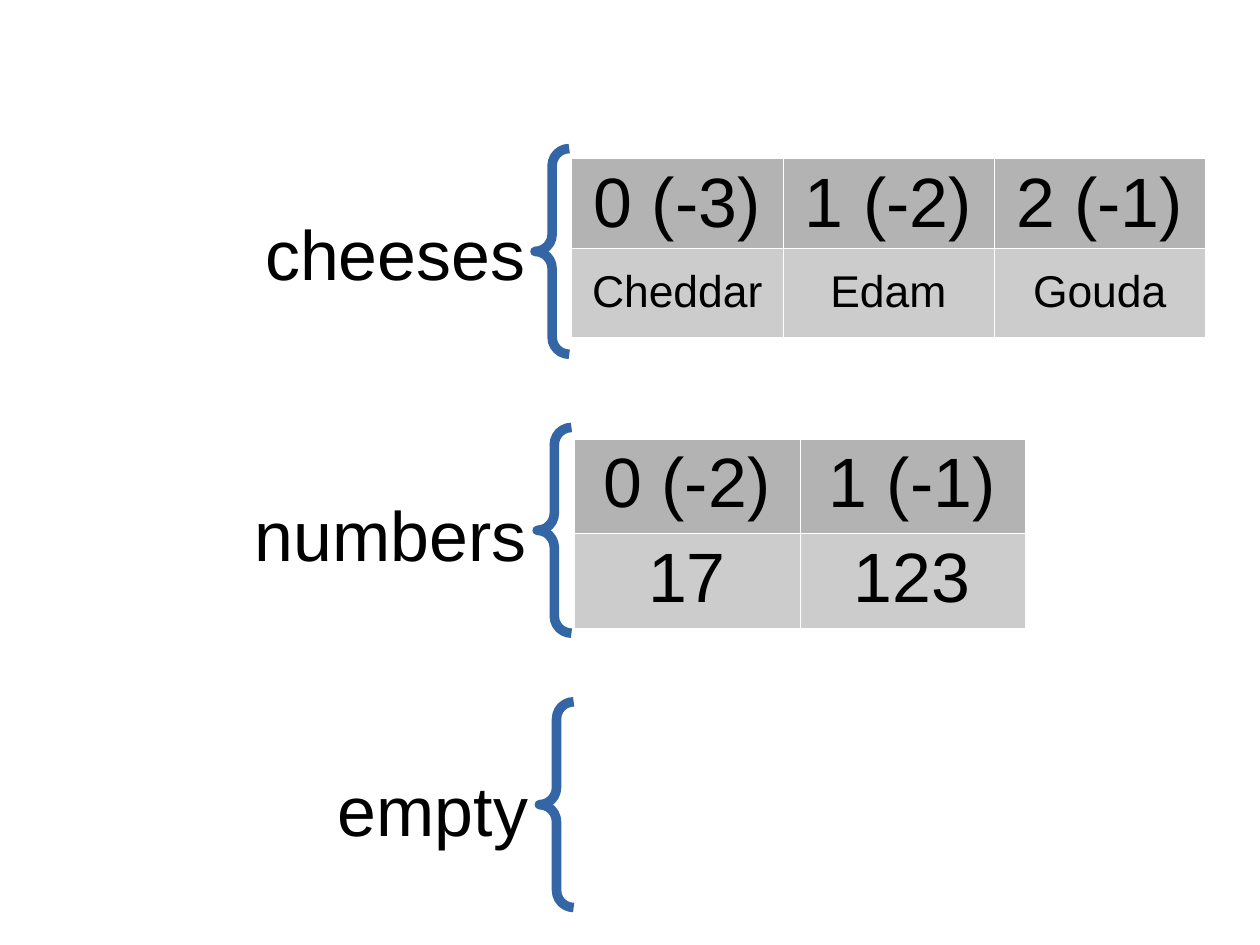
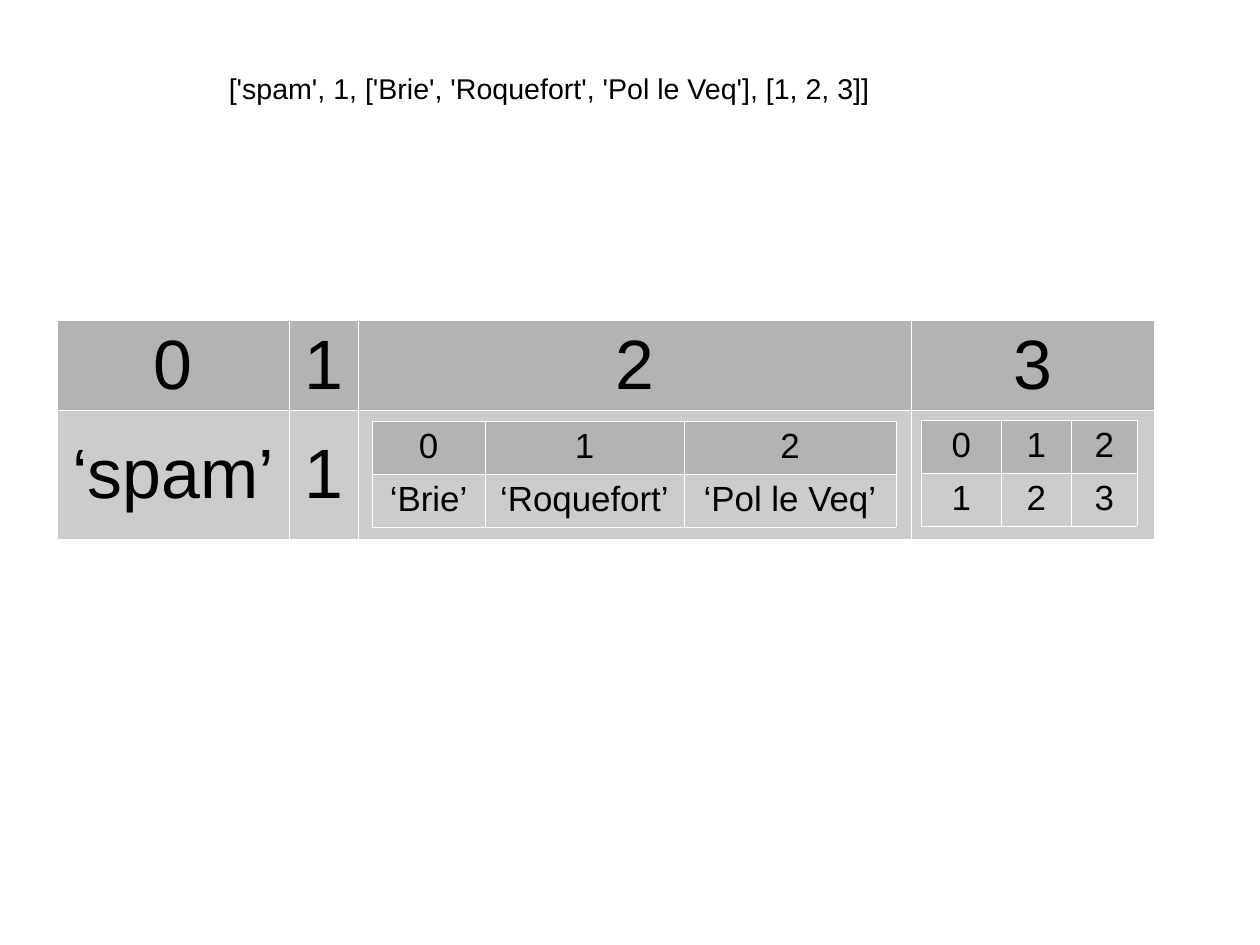
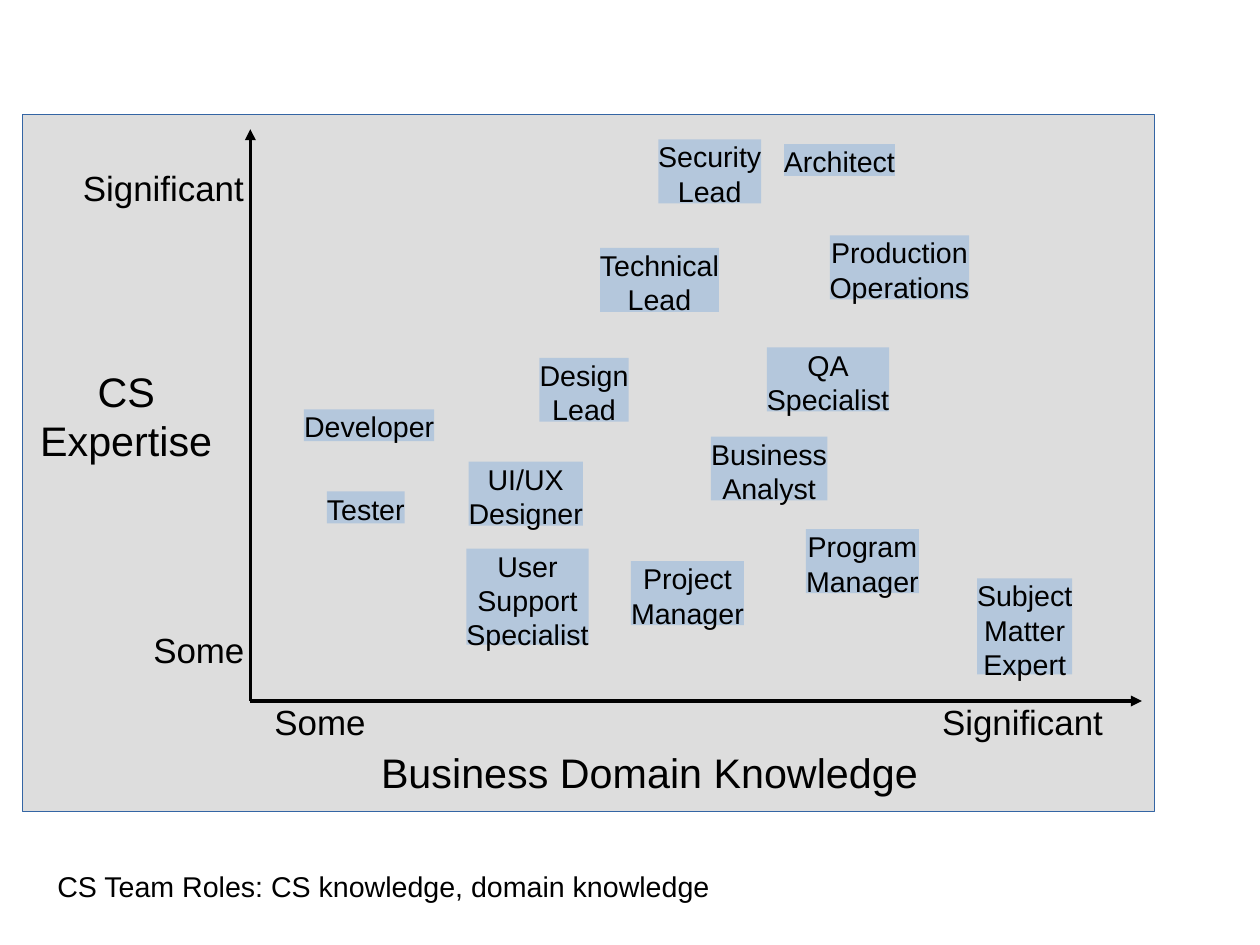
import lxml.etree
import pptx
import pptx.dml.color
import pptx.enum.shapes
import pptx.enum.text
import pptx.oxml
import pptx.oxml.ns
import pptx.util

Pt = pptx.util.Pt
SHAPES = pptx.enum.shapes.MSO_SHAPE
ANCHORS = pptx.enum.text.MSO_ANCHOR

FONT = "Arial"
COLOURS = {
    "text": "000000",
    "header": "B3B3B3",
    "value": "CCCCCC",
    "border": "FFFFFF",
    "accent": "3465A4",
    "panel": "DDDDDD",
    "role": "B4C7DC",
}
SLIDE_WIDTH, SLIDE_HEIGHT = 793.7, 595.28
LARGE, AXIS_NAME, MEDIUM, SMALL = 44, 26, 22, 18
ROLE_LINE = 20.16
BRACE_WIDTH, BRACE_HEIGHT = 21.6, 129.6

LISTS = [
    {"name": "cheeses", "label": (167, 132.5, 164.2), "brace": (337, 93.6),
     "table": (360, 99.6), "columns": [133.1] * 3, "rows": [56.4] * 2,
     "cells": [["0 (-3)", "1 (-2)", "2 (-1)"], ["Cheddar", "Edam", "Gouda"]],
     "value_size": 28, "anchors": (ANCHORS.TOP, ANCHORS.MIDDLE)},
    {"name": "numbers", "label": (159.8, 309.6, 172.8), "brace": (338.4, 269.3),
     "table": (361.8, 276.5), "columns": [141.9] * 2, "rows": [59.5] * 2,
     "cells": [["0 (-2)", "1 (-1)"], ["17", "123"]],
     "value_size": LARGE, "anchors": (ANCHORS.TOP, ANCHORS.TOP)},
    {"name": "empty", "label": (209.5, 483.1, 126.7), "brace": (339.8, 442.1)},
]

AXIS_LABELS = [
    ("Business Domain Knowledge", 239.8, 470.9, 339.1, AXIS_NAME),
    ("CS\nExpertise", 25.2, 230.4, 108.7, AXIS_NAME),
    ("Some", 96.5, 396, 57.6, MEDIUM),
    ("Some", 172.8, 441.4, 57.6, MEDIUM),
    ("Significant", 589.7, 441.4, 108.7, MEDIUM),
    ("Significant", 51.8, 105.1, 102.2, MEDIUM),
]

ROLES = [
    ("Subject\nMatter\nExpert", 615.6, 364.3, 59.8),
    ("Architect", 493.9, 90.7, 69.8),
    ("Program\nManager", 507.6, 333.4, 71.3),
    ("Project\nManager", 397.4, 353.5, 71.3),
    ("UI/UX\nDesigner", 295.2, 290.9, 72),
    ("Security\nLead", 414.7, 87.8, 64.8),
    ("Technical\nLead", 378, 156.2, 74.9),
    ("Design\nLead", 339.8, 225.4, 56.2),
    ("Business\nAnalyst", 447.8, 275, 73.4),
    ("Developer", 191.5, 257.8, 82.1),
    ("Tester", 205.9, 309.6, 49),
    ("QA\nSpecialist", 483.1, 218.9, 77),
    ("Production\nOperations", 522.7, 148.3, 87.8),
    ("User\nSupport\nSpecialist", 293.8, 345.6, 77),
]


def colour(name):
    """Return the named colour as an RGB value."""
    return pptx.dml.color.RGBColor.from_string(COLOURS[name])


def format_paragraphs(frame, size):
    """Centre every paragraph and give it the shared font."""
    for para in frame.paragraphs:
        para.alignment = pptx.enum.text.PP_ALIGN.CENTER
        para.font.name = FONT
        para.font.size = Pt(size)
        para.font.color.rgb = colour("text")


def write_text(box, text, size):
    """Fill a shape with top-anchored text that has no margins."""
    frame = box.text_frame
    frame.margin_left = frame.margin_right = 0
    frame.margin_top = frame.margin_bottom = 0
    frame.word_wrap = False
    frame.auto_size = pptx.enum.text.MSO_AUTO_SIZE.NONE
    frame.vertical_anchor = ANCHORS.TOP
    frame.text = text
    format_paragraphs(frame, size)


def place_title(page, text, left, top, width):
    """Move the title placeholder and fill it."""
    title = page.shapes.title
    title.left, title.top = Pt(left), Pt(top)
    title.width, title.height = Pt(width), Pt(ROLE_LINE)
    write_text(title, text, SMALL)


def add_label(page, text, left, top, width, size):
    """Add a text box as tall as its lines."""
    height = size * 1.12 * len(text.split("\n"))
    box = page.shapes.add_textbox(Pt(left), Pt(top), Pt(width), Pt(height))
    write_text(box, text, size)


def add_box(page, kind, left, top, width, height, fill):
    """Add a flat filled shape without an outline."""
    box = page.shapes.add_shape(kind, Pt(left), Pt(top), Pt(width), Pt(height))
    box.shadow.inherit = False
    box.fill.solid()
    box.fill.fore_color.rgb = colour(fill)
    box.line.fill.background()
    return box


def add_role(page, text, left, top, width):
    """Add a role tag as tall as its lines."""
    height = ROLE_LINE * len(text.split("\n"))
    box = add_box(page, SHAPES.RECTANGLE, left, top, width, height, "role")
    write_text(box, text, SMALL)


def add_brace(page, left, top):
    """Add a thick left brace."""
    brace = page.shapes.add_shape(
        SHAPES.LEFT_BRACE, Pt(left), Pt(top), Pt(BRACE_WIDTH), Pt(BRACE_HEIGHT))
    brace.shadow.inherit = False
    brace.adjustments[0] = 0.5
    brace.fill.background()
    brace.line.color.rgb = colour("accent")
    brace.line.width = Pt(6)


def add_axis(page, start, end):
    """Add a black arrow between two points."""
    axis = page.shapes.add_connector(
        pptx.enum.shapes.MSO_CONNECTOR.STRAIGHT, *map(Pt, start + end))
    axis.line.color.rgb = colour("text")
    axis.line.width = Pt(2.3)
    outline = axis._element.spPr.find(pptx.oxml.ns.qn("a:ln"))
    lxml.etree.SubElement(outline, pptx.oxml.ns.qn("a:tailEnd"), type="triangle")
    lxml.etree.SubElement(axis._element.spPr, pptx.oxml.ns.qn("a:effectLst"))


def border_cell(cell):
    """Give a cell hairline borders on all sides."""
    properties = cell._tc.get_or_add_tcPr()
    for side in ("lnL", "lnR", "lnT", "lnB"):
        properties.append(pptx.oxml.parse_xml(
            f'<a:{side} {pptx.oxml.ns.nsdecls("a")} w="762"><a:solidFill>'
            f'<a:srgbClr val="{COLOURS["border"]}"/></a:solidFill></a:{side}>'))


def add_index_table(page, position, columns, rows, cells, sizes, anchors):
    """Add a table of indexes above their values."""
    table = page.shapes.add_table(
        len(rows), len(columns), *map(Pt, position),
        Pt(sum(columns)), Pt(sum(rows))).table
    table.first_row = table.horz_banding = False
    for column, width in zip(table.columns, columns):
        column.width = Pt(width)
    for row, height, texts, size, anchor, fill in zip(
            table.rows, rows, cells, sizes, anchors, ("header", "value")):
        row.height = Pt(height)
        for cell, text in zip(row.cells, texts):
            border_cell(cell)
            cell.fill.solid()
            cell.fill.fore_color.rgb = colour(fill)
            cell.vertical_anchor = anchor
            cell.text = text
            format_paragraphs(cell.text_frame, size)


def build_lists(page):
    """Draw three named lists with their indexes."""
    for entry in LISTS:
        if "table" in entry:
            add_index_table(
                page, entry["table"], entry["columns"], entry["rows"],
                entry["cells"], (LARGE, entry["value_size"]), entry["anchors"])
        add_label(page, entry["name"], *entry["label"], LARGE)
        add_brace(page, *entry["brace"])


def build_nested_list(page):
    """Draw a list that holds two inner lists."""
    place_title(page, "['spam', 1, ['Brie', 'Roquefort', 'Pol le Veq'], [1, 2, 3]]",
                144, 44.6, 403.9)
    add_index_table(
        page, (36.2, 201.8), [146, 43.6, 348.3, 153], [56.4, 81.2],
        [["0", "1", "2", "3"], ["‘spam’", "1", "", ""]],
        (LARGE, LARGE), (ANCHORS.MIDDLE, ANCHORS.MIDDLE))
    inner_lists = [
        ((234.4, 265.2), [71.2, 125.2, 133.7], ["‘Brie’", "‘Roquefort’", "‘Pol le Veq’"]),
        ((580.3, 264.4), [50.4, 44.1, 41.6], ["1", "2", "3"]),
    ]
    for position, columns, values in inner_lists:
        add_index_table(
            page, position, columns, [33.5] * 2, [["0", "1", "2"], values],
            (MEDIUM, MEDIUM), (ANCHORS.TOP, ANCHORS.TOP))


def build_roles(page):
    """Draw the map of team roles by expertise and domain knowledge."""
    place_title(page, "CS Team Roles: CS knowledge, domain knowledge", 36, 547.2, 411.1)
    panel = add_box(page, SHAPES.FLOWCHART_PROCESS, 14.4, 72, 712.8, 439.2, "panel")
    panel.line.color.rgb = colour("accent")
    panel.line.width = Pt(0)
    origin = (157.7, 441.6)
    add_axis(page, origin, (719.3, 441.6))
    add_axis(page, origin, (157.7, 81.4))
    for label in AXIS_LABELS:
        add_label(page, *label)
    for role in ROLES:
        add_role(page, *role)


def main():
    """Build the three slides and save them."""
    deck = pptx.Presentation()
    deck.slide_width, deck.slide_height = Pt(SLIDE_WIDTH), Pt(SLIDE_HEIGHT)
    title_only, blank = deck.slide_layouts[5], deck.slide_layouts[6]
    build_lists(deck.slides.add_slide(blank))
    build_nested_list(deck.slides.add_slide(title_only))
    build_roles(deck.slides.add_slide(title_only))
    deck.save("out.pptx")


if __name__ == "__main__":
    main()
